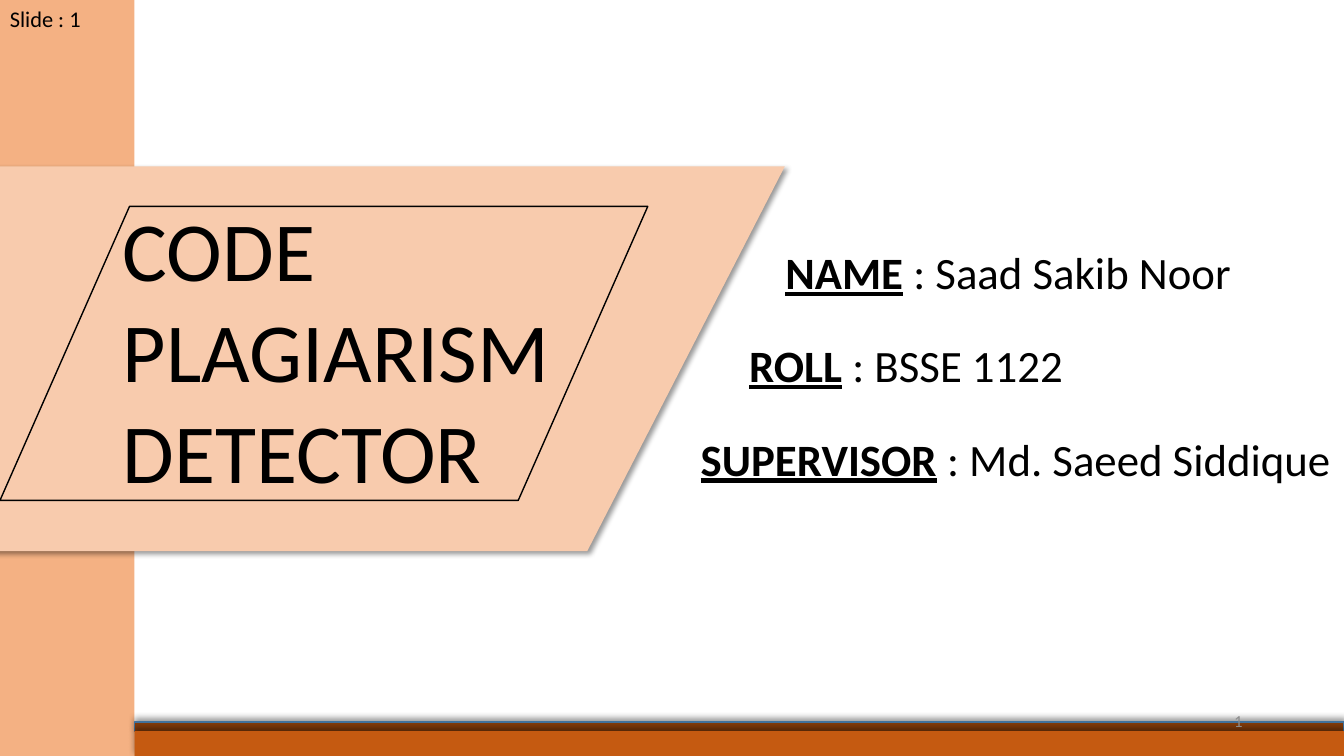
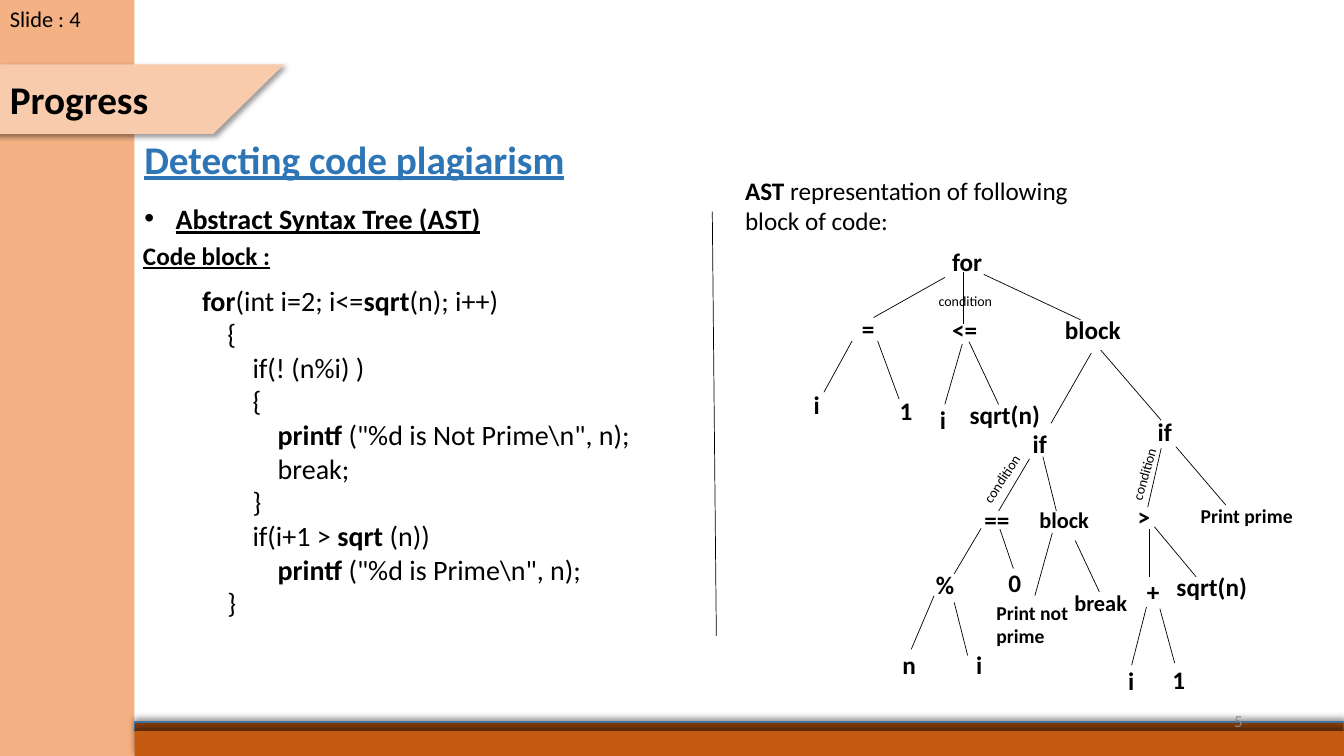
from dataclasses import dataclass

from lxml import etree
from pptx import Presentation
from pptx import util as u
from pptx.dml.color import RGBColor
from pptx.enum import shapes, text
from pptx.oxml.ns import qn

WIDTH, HEIGHT = u.Inches(13.33), u.Inches(7.5)
BLANK = 6


@dataclass(frozen=True)
class Theme:
    font: str = "Calibri"
    ink: str = "000000"
    heading: str = "2E75B6"
    muted: str = "8C8C8C"
    side: str = "F4B183"
    tag: str = "F8CBAD"
    stripe: str = "843C0B"
    stripe_edge: str = "43739E"
    footer: str = "C55A11"
    cover_size: int = 60
    detail_size: int = 32
    title_size: int = 28
    code_size: int = 20
    body_size: int = 18
    label_size: int = 16
    leaf_size: int = 14
    number_size: int = 12
    edge_size: int = 10


THEME = Theme()


@dataclass(frozen=True)
class Node:
    """A tree label at (left, top), with the edge (x1, y1, x2, y2) from its parent."""
    label: str
    left: float
    top: float
    edge: tuple = ()
    children: tuple = ()
    size: int = THEME.body_size


AST = Node("for", 70.1, 31.9, children=(
    Node("=", 63.4, 40.8, (70.3, 36.7, 65, 42), (
        Node("i", 59.8, 50.9, (63.4, 45.1, 61.3, 51.9)),
        Node("1", 66.2, 51.6, (65.3, 45.1, 66.9, 52.8)),
    )),
    Node("<=", 70.1, 40.9, (71.7, 36, 71.7, 42.8), (
        Node("i", 69.2, 52.8, (71.6, 45.5, 70.3, 53.5)),
        Node("sqrt(n)", 71.4, 52.1, (72.1, 45.2, 74.3, 53.5)),
    )),
    Node("block", 78.5, 40.9, (73.2, 36.3, 80.4, 42.3), (
        Node("if", 76.1, 56, (81.2, 46.7, 78.2, 56), (
            Node("==", 72.5, 66.1, (76.6, 60.7, 74.3, 67.6), (
                Node("%", 68.9, 74.7, (73, 69.9, 71, 75.9), (
                    Node("n", 66.4, 85.2, (69.5, 78.8, 67.8, 85.9)),
                    Node("i", 71.9, 85.2, (71, 79.7, 72, 86.7)),
                )),
                Node("0", 74.3, 74.4, (74.4, 70, 75.4, 75.2)),
            )),
            Node("block", 76.6, 66.3, (77.6, 60.4, 78.6, 67.6), (
                Node("Print not prime", 73.4, 78.8, (78.3, 70.5, 77, 78.8),
                     size=THEME.leaf_size),
                Node("break", 79.2, 77.3, (80, 71.5, 81.8, 78.3),
                     size=THEME.label_size),
            ), THEME.label_size),
        )),
        Node("if", 85.4, 54.4, (81.9, 46.3, 86.4, 55.6), (
            Node(">", 83.9, 65.7, (86.4, 59.3, 85.4, 67.1), (
                Node("+", 84.6, 75.6, (85.5, 70, 85.5, 76.3), (
                    Node("i", 83.2, 87.3, (85.3, 80.3, 84.2, 88)),
                    Node("1", 86.5, 87.2, (86.3, 80.5, 87.4, 87.7)),
                )),
                Node("sqrt(n)", 86.8, 74.9, (85.9, 69.7, 89, 76.3)),
            )),
            Node("Print prime", 88.6, 66, (87.5, 59.1, 91.2, 66.8),
                 size=THEME.leaf_size),
        )),
    )),
))

# Indent level and text; bold parts stand between double asterisks.
CODE = (
    (0, "**for**(int i=2; i<=**sqrt**(n); i++)"),
    (1, "{"),
    (2, "if(! (n%i) )"),
    (2, "{"),
    (3, r'**printf **("%d is Not Prime\n", n);'),
    (3, "break;"),
    (2, "}"),
    (2, "if(i+1 > **sqrt **(n))"),
    (3, r'**printf **("%d is Prime\n", n);'),
    (1, "}"),
)

DETAILS = (
    (57.7, "**NAME** : Saad Sakib Noor"),
    (55, "**ROLL** : BSSE 1122"),
    (51.4, "**SUPERVISOR** : Md. Saeed Siddique"),
)


def at(*shares):
    """Turn alternating x and y percentages of the slide into lengths."""
    return [int(share * (HEIGHT if i % 2 else WIDTH) / 100)
            for i, share in enumerate(shares)]


def color(name):
    return RGBColor.from_string(getattr(THEME, name))


def cast_shadow(shape, angle):
    effects = etree.SubElement(shape._element.spPr, qn("a:effectLst"))
    shadow = etree.SubElement(effects, qn("a:outerShdw"), blurRad=str(u.Pt(4)),
                              dist=str(u.Pt(3)), dir=str(angle * 60000),
                              algn="ctr", rotWithShape="0")
    black = etree.SubElement(shadow, qn("a:srgbClr"), val="000000")
    etree.SubElement(black, qn("a:alpha"), val="40000")


def add_block(slide, kind, box, fill=None, line=None, shadow_angle=None):
    shape = slide.shapes.add_shape(kind, *at(*box))
    if fill:
        shape.fill.solid()
        shape.fill.fore_color.rgb = color(fill)
    else:
        shape.fill.background()
    if line:
        shape.line.color.rgb = color(line)
        shape.line.width = u.Pt(1)
    else:
        shape.line.fill.background()
    if shadow_angle is None:
        shape.shadow.inherit = False
    else:
        cast_shadow(shape, shadow_angle)


def add_slanted(slide, box, **style):
    add_block(slide, shapes.MSO_SHAPE.FLOWCHART_DATA, box, **style)


def add_line(slide, ends):
    line = slide.shapes.add_connector(shapes.MSO_CONNECTOR.STRAIGHT, *at(*ends))
    line.line.color.rgb = color("ink")
    line.line.width = u.Pt(0.5)
    etree.SubElement(line._element.spPr, qn("a:effectLst"))


def write_runs(paragraph, marked, size, ink="ink", underline=False):
    """Write text whose bold parts, underlined on request, are marked by **."""
    for i, part in enumerate(marked.split("**")):
        if not part:
            continue
        run = paragraph.add_run()
        run.text = part
        font = run.font
        font.name, font.size = THEME.font, u.Pt(size)
        font.color.rgb = color(ink)
        font.bold = i % 2 == 1
        font.underline = underline and font.bold


def add_text(slide, box, marked, size, **style):
    label = slide.shapes.add_textbox(*at(*box))
    label.text_frame.word_wrap = True
    write_runs(label.text_frame.paragraphs[0], marked, size, **style)
    return label


def set_indent(paragraph, margin, first=0):
    props = paragraph._p.get_or_add_pPr()
    props.set("marL", str(u.Inches(margin)))
    props.set("indent", str(u.Inches(first)))
    return props


def add_bullet(slide, box, marked, size, **style):
    label = add_text(slide, box, marked, size, **style)
    props = set_indent(label.text_frame.paragraphs[0], 0.31, -0.31)
    etree.SubElement(props, qn("a:buFont"), typeface="Arial")
    etree.SubElement(props, qn("a:buChar"), char="•")


def add_code(slide, box, lines):
    frame = add_text(slide, box, "", THEME.code_size).text_frame
    for i, (level, marked) in enumerate(lines):
        paragraph = frame.add_paragraph() if i else frame.paragraphs[0]
        set_indent(paragraph, level * 0.25)
        write_runs(paragraph, marked, THEME.code_size)


def add_tree(slide, node):
    if node.edge:
        add_line(slide, node.edge)
    add_text(slide, (node.left, node.top, 8.6, 5.6), f"**{node.label}**", node.size)
    for child in node.children:
        add_tree(slide, child)


def add_framed_slide(deck, label, number):
    """Add a slide with the side band, footer stripes and both numbers."""
    slide = deck.slides.add_slide(deck.slide_layouts[BLANK])
    rectangle = shapes.MSO_SHAPE.RECTANGLE
    add_block(slide, rectangle, (0, 0, 10, 100), fill="side")
    add_block(slide, rectangle, (10, 95.5, 90, 1.3), fill="stripe",
              line="stripe_edge", shadow_angle=270)
    add_block(slide, rectangle, (10, 96.7, 90, 3.3), fill="footer", shadow_angle=270)
    add_text(slide, (0, 0, 8.4, 4.9), f"Slide : {label}", THEME.label_size)
    page = add_text(slide, (70.7, 92.7, 22.5, 5.3), str(number),
                    THEME.number_size, ink="muted").text_frame
    page.vertical_anchor = text.MSO_ANCHOR.MIDDLE
    page.paragraphs[0].alignment = text.PP_ALIGN.RIGHT
    return slide


def build_cover(deck):
    slide = add_framed_slide(deck, 1, 1)
    add_slanted(slide, (-15.1, 22, 73.5, 50.9), fill="tag", shadow_angle=45)
    add_text(slide, (8.4, 25.5, 39.8, 41.7), "CODE PLAGIARISM DETECTOR",
             THEME.cover_size)
    add_slanted(slide, (0, 27.3, 48.2, 38.9), line="ink")
    for row, (left, detail) in enumerate(DETAILS):
        add_text(slide, (left, 31.7 + row * 12.35, 49.5, 8.5), detail,
                 THEME.detail_size, underline=True)


def build_progress(deck):
    slide = add_framed_slide(deck, 4, 5)
    add_slanted(slide, (-5.25, 8.5, 26.4, 9.2), fill="tag", shadow_angle=45)
    add_text(slide, (0, 9.3, 19, 7.6), "**Progress**", THEME.title_size)
    add_text(slide, (10, 17.2, 34, 7.6), "**Detecting code plagiarism**",
             THEME.title_size, ink="heading", underline=True)
    add_bullet(slide, (10, 26, 29.2, 5.9), "**Abstract Syntax Tree (AST)**",
               THEME.code_size, underline=True)
    add_text(slide, (9.9, 31.1, 17.2, 5.3), "**Code block :**",
             THEME.body_size, underline=True)
    add_code(slide, (14.3, 36.8, 35.6, 50.3), CODE)
    add_line(slide, (53, 28, 53.3, 84.1))
    add_text(slide, (54.7, 22.5, 28.5, 9.5),
             "**AST **representation of following block of code:", THEME.body_size)
    add_tree(slide, AST)
    for left, top, angle in ((69.1, 38.1, 0), (71.8, 61.5, 303.6), (82.4, 60.9, 285.7)):
        condition = add_text(slide, (left, top, 5.5, 3.6), "condition", THEME.edge_size)
        condition.rotation = angle


def main():
    deck = Presentation()
    deck.slide_width, deck.slide_height = WIDTH, HEIGHT
    build_cover(deck)
    build_progress(deck)
    deck.save("out.pptx")


if __name__ == "__main__":
    main()
